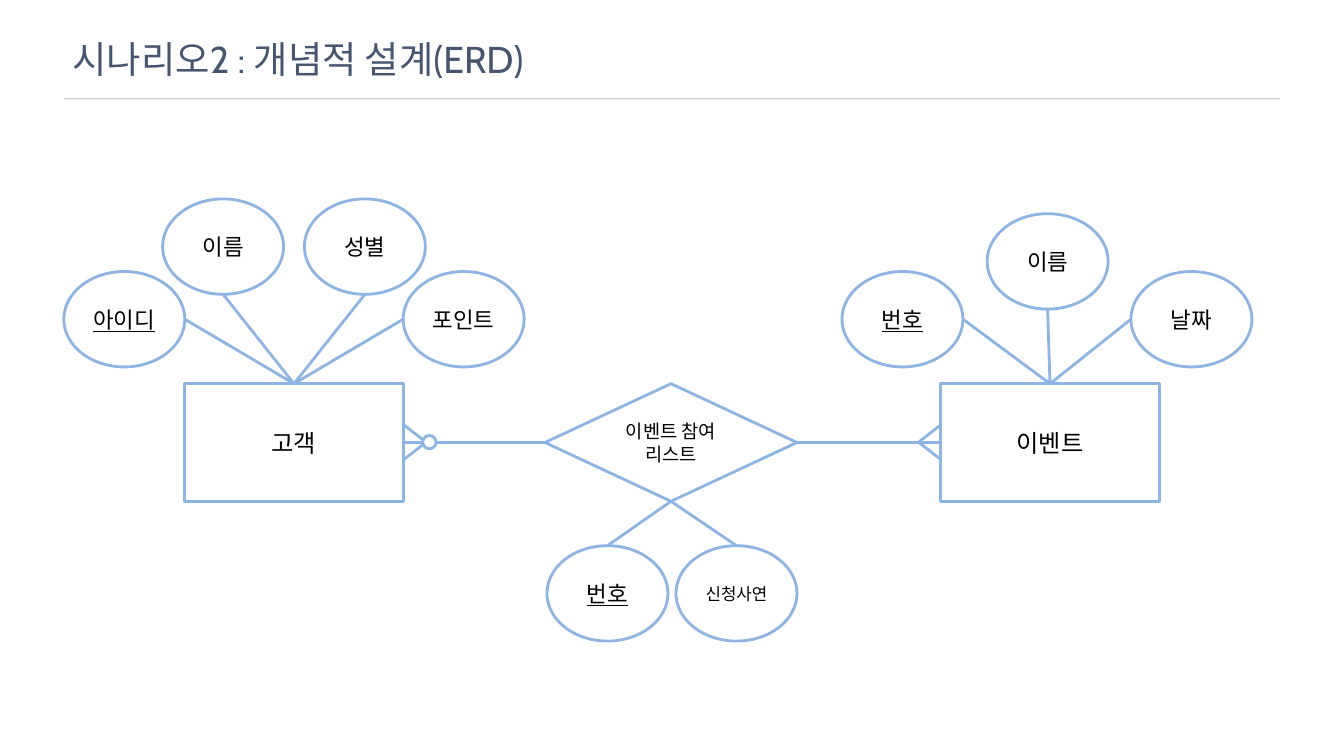
from dataclasses import dataclass

from lxml import etree
from pptx import Presentation
from pptx.dml.color import RGBColor
from pptx.enum.shapes import MSO_CONNECTOR, MSO_SHAPE
from pptx.enum.text import MSO_ANCHOR, PP_ALIGN
from pptx.oxml.ns import qn
from pptx.util import Inches, Pt

RECT, DIAMOND, OVAL = MSO_SHAPE.RECTANGLE, MSO_SHAPE.DIAMOND, MSO_SHAPE.OVAL
STRAIGHT = MSO_CONNECTOR.STRAIGHT
CENTER, MIDDLE = PP_ALIGN.CENTER, MSO_ANCHOR.MIDDLE
BLUE, WHITE, BLACK, NAVY = "8EB4E3", "FFFFFF", "000000", "475570"
ENTITY_W, ENTITY_H = 3.25, 1.75
ATTR_W, ATTR_H = 1.8, 1.42
ROW_Y = 5.71
AXIS_Y = 6.58
FOOT_X, FOOT_Y = 0.32, 0.25


@dataclass
class Node:
    kind: int
    x: float
    y: float
    w: float
    h: float
    text: str = ""
    size: int = 24
    key: bool = False

    def site(self, side: str) -> tuple[float, float]:
        """Return the middle of the named side."""
        fx, fy = {"top": (0.5, 0), "bottom": (0.5, 1),
                  "left": (0, 0.5), "right": (1, 0.5)}[side]
        return self.x + fx * self.w, self.y + fy * self.h


@dataclass
class Attribute:
    text: str
    x: float
    y: float
    side: str
    key: bool = False
    size: int = 24


CUSTOMER = Node(RECT, 2.75, ROW_Y, ENTITY_W, ENTITY_H, "고객", 26)
EVENT = Node(RECT, 14, ROW_Y, ENTITY_W, ENTITY_H, "이벤트", 26)
ENTRY = Node(DIAMOND, 8.11, ROW_Y, 3.75, ENTITY_H, "이벤트 참여 리스트", 20)

GROUPS = [
    (CUSTOMER, "top", [
        Attribute("아이디", 0.95, 4.04, "right", key=True),
        Attribute("이름", 2.42, 2.96, "bottom"),
        Attribute("성별", 4.53, 2.96, "bottom"),
        Attribute("포인트", 6, 4.04, "left"),
    ]),
    (EVENT, "top", [
        Attribute("번호", 12.53, 4.04, "right", key=True),
        Attribute("이름", 14.69, 3.18, "bottom"),
        Attribute("날짜", 16.83, 4.04, "left"),
    ]),
    (ENTRY, "bottom", [
        Attribute("번호", 8.14, 8.12, "top", key=True),
        Attribute("신청사연", 10.06, 8.12, "top", size=18),
    ]),
]


def rgb(value: str) -> RGBColor:
    return RGBColor.from_string(value)


def set_font(r, **values) -> None:
    color = values.pop("color")
    for name, value in values.items():
        setattr(r.font, name, value)
    r.font.color.rgb = rgb(color)


def draw_line(slide, start: tuple[float, float], end: tuple[float, float],
              color: str = BLUE, width: float = 3):
    line = slide.shapes.add_connector(STRAIGHT, *map(Inches, start + end))
    line.line.color.rgb = rgb(color)
    line.line.width = Pt(width)
    etree.SubElement(line._element.spPr, qn("a:effectLst"))
    return line


def draw_node(slide, node: Node) -> None:
    sp = slide.shapes.add_shape(
        node.kind, *map(Inches, (node.x, node.y, node.w, node.h)))
    sp.shadow.inherit = False
    sp.fill.solid()
    sp.fill.fore_color.rgb = rgb(WHITE)
    sp.line.color.rgb = rgb(BLUE)
    sp.line.width = Pt(3)
    if not node.text:
        return
    tf = sp.text_frame
    tf.word_wrap = True
    tf.vertical_anchor = MIDDLE
    p = tf.paragraphs[0]
    p.alignment = CENTER
    r = p.add_run()
    r.text = node.text
    set_font(r, name="Calibri", size=Pt(node.size), underline=node.key,
             color=BLACK)


def draw_title(slide, text: str) -> None:
    rule = draw_line(slide, (0.95, 1.47), (19.05, 1.47), BLACK, 1.5)
    clr = rule.line._ln.find(".//" + qn("a:srgbClr"))
    etree.SubElement(clr, qn("a:alpha"), val="20000")

    box = slide.shapes.add_textbox(*map(Inches, (1.08, 0.42, 17.97, 0.73)))
    tf = box.text_frame
    tf.word_wrap = True
    for side in ("left", "top", "right", "bottom"):
        setattr(tf, f"margin_{side}", 0)
    p = tf.paragraphs[0]
    p.line_spacing = Pt(56)
    r = p.add_run()
    r.text = text
    set_font(r, name="Cabin", size=Pt(40), color=NAVY)


def draw_attributes(slide, owner: Node, owner_side: str,
                    attributes: list[Attribute]) -> None:
    for a in attributes:
        node = Node(OVAL, a.x, a.y, ATTR_W, ATTR_H, a.text, a.size, a.key)
        draw_node(slide, node)
        draw_line(slide, owner.site(owner_side), node.site(a.side))


def draw_crow_foot(slide, edge_x: float, direction: int) -> None:
    """Spread two toes from the axis to an entity edge."""
    for dy in (-FOOT_Y, FOOT_Y):
        draw_line(slide, (edge_x, AXIS_Y + dy),
                  (edge_x + direction * FOOT_X, AXIS_Y))


def main() -> None:
    prs = Presentation()
    prs.slide_width, prs.slide_height = Inches(20), Inches(11.25)
    slide = prs.slides.add_slide(prs.slide_layouts[6])

    draw_title(slide, "시나리오2 : 개념적 설계(ERD)")
    for node in (CUSTOMER, EVENT, ENTRY):
        draw_node(slide, node)
    for owner, side, attributes in GROUPS:
        draw_attributes(slide, owner, side, attributes)

    draw_line(slide, CUSTOMER.site("right"), ENTRY.site("left"))
    draw_line(slide, ENTRY.site("right"), EVENT.site("left"))
    draw_crow_foot(slide, 6.02, 1)
    draw_crow_foot(slide, 13.99, -1)
    draw_node(slide, Node(OVAL, 6.29, AXIS_Y - 0.1, 0.2, 0.2))

    prs.save("out.pptx")


if __name__ == "__main__":
    main()
